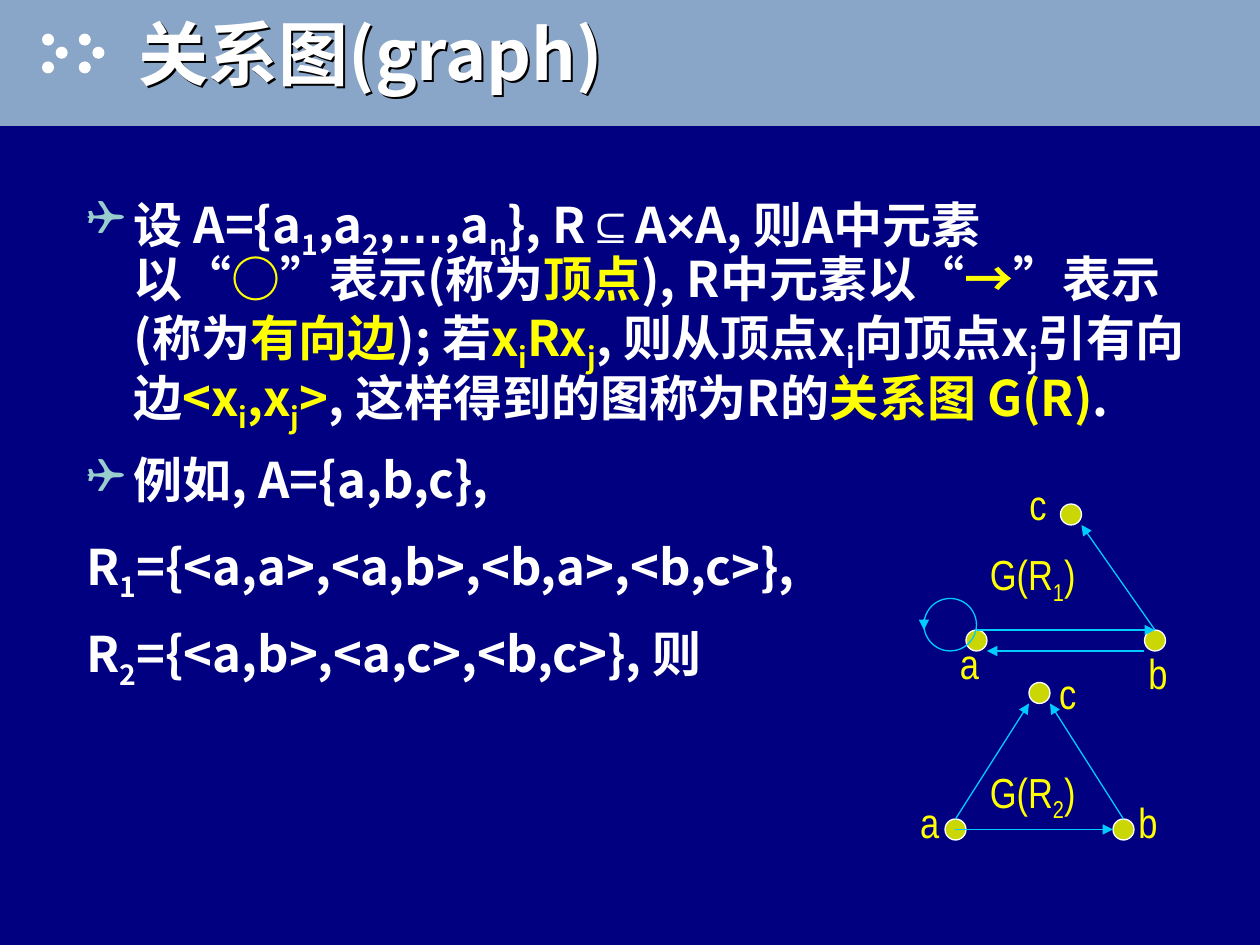
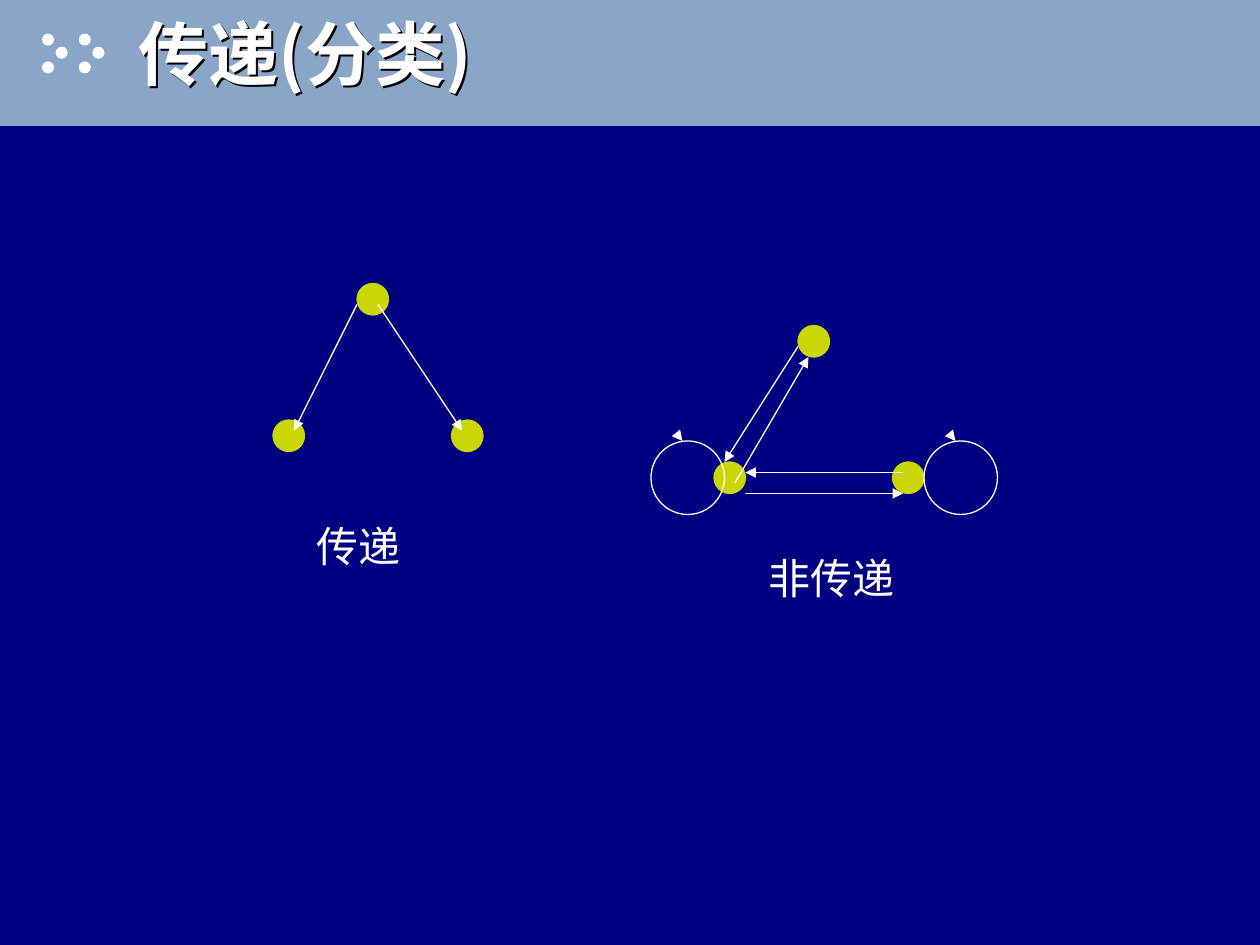
"""Build two slides on relation graphs and transitivity."""
import itertools

import lxml.etree
import pptx
import pptx.dml.color
import pptx.enum.shapes
import pptx.enum.text
import pptx.oxml.ns
import pptx.util

NAVY, STEEL, WHITE, BLACK = "000080", "89A5C7", "FFFFFF", "000000"
GOLD, LIME, CYAN, TEAL = "FFFF00", "CAD704", "00CCFF", "99CCCC"
SANS, SLIM, PLAIN, MARK = "Noto Sans CJK SC", "Arial Narrow", "Arial", "Wingdings"
SIGNS = "…⊆×“”→"
OVAL = pptx.enum.shapes.MSO_SHAPE.OVAL
RECT = pptx.enum.shapes.MSO_SHAPE.RECTANGLE


def grid(count):
    """Return a length of so many twelfths of an inch."""
    return pptx.util.Cm(count * 2.54 / 12)


def paint(color, code):
    """Set a colour format to a hex string."""
    color.rgb = pptx.dml.color.RGBColor.from_string(code)


def child(parent, tag, **attrs):
    """Append a drawing element with attributes."""
    return lxml.etree.SubElement(parent, pptx.oxml.ns.qn(tag), attrs)


def split(text):
    """Yield (text, gold, low, sign) parts; [x] is gold and _x is low."""
    marks, gold, low = [], False, False
    for char in text:
        if char in "[]":
            gold = char == "["
        elif char == "_":
            low = True
        else:
            marks.append((char, gold, low, char in SIGNS))
            low = False
    for key, group in itertools.groupby(marks, lambda mark: mark[1:]):
        yield ("".join(mark[0] for mark in group), *key)


def write(para, text, size=24, face=SLIM, color=WHITE, bold=False,
          before=15, space=None, hang=False, bullet=None):
    """Fill a paragraph with marked text in the given format."""
    para.space_before = pptx.util.Pt(before)
    if space:
        para.line_spacing = space
    props = para._p.get_or_add_pPr()
    if hang:
        inset = grid(4.5)
        props.set("marL", str(inset))
        props.set("indent", str(-inset))
    if bullet:
        child(child(props, "a:buClr"), "a:srgbClr", val=TEAL)
        child(props, "a:buFont", typeface=MARK, charset="2")
        child(props, "a:buChar", char=bullet)
    for part, gold, low, sign in split(text):
        run = para.add_run()
        run.text = part
        font = run.font
        font.size, font.bold = pptx.util.Pt(size), bold
        font.name = PLAIN if sign else face
        font.fill.solid()
        paint(font.fill.fore_color, GOLD if gold else color)
        rpr = run._r.get_or_add_rPr()
        child(rpr, "a:ea", typeface=SANS)
        if low:
            rpr.set("baseline", "-25000")


class Deck:
    """Hold the shared style and the current slide."""

    def __init__(self):
        """Start a deck with a navy master."""
        self.show = pptx.Presentation()
        self.show.slide_width, self.show.slide_height = grid(120), grid(90)
        back = self.show.slide_master.background.fill
        back.solid()
        paint(back.fore_color, NAVY)

    def page(self, title):
        """Add a slide with its band, dots and title."""
        self.slide = self.show.slides.add_slide(self.show.slide_layouts[6])
        self.form(RECT, 0, 0, 120, 12, fill=STEEL)
        for left in (4, 7.5):
            for step, top in ((0, 3.2), (1.3, 4.45), (0, 5.85)):
                self.form(OVAL, left + step, top, 1.15, 1.15, fill=WHITE)
        box = self.text([title], 12.05, 0, 108, 10, middle=True, size=40,
                        face=SANS, bold=True, before=0)
        shade = child(child(box._element.spPr, "a:effectLst"), "a:outerShdw",
                      dist=str(pptx.util.Cm(0.06)), dir="2700000",
                      algn="ctr", rotWithShape="0")
        child(shade, "a:srgbClr", val=BLACK)

    def form(self, kind, left, top, width, height, fill=None, line=None):
        """Add a preset shape."""
        shape = self.slide.shapes.add_shape(kind, *map(grid, (left, top, width, height)))
        shape.shadow.inherit = False
        if fill:
            shape.fill.solid()
            paint(shape.fill.fore_color, fill)
        else:
            shape.fill.background()
        if line:
            shape.line.width = pptx.util.Pt(0.75)
            paint(shape.line.color, line)
        else:
            shape.line.fill.background()

    def nodes(self, spots, size, line):
        """Add graph nodes at the given spots."""
        for left, top in spots:
            self.form(OVAL, left, top, size, size, fill=LIME, line=line)

    def edges(self, ends, color):
        """Add arrows, each given as start and end points."""
        for points in ends:
            kind = pptx.enum.shapes.MSO_CONNECTOR.STRAIGHT
            edge = self.slide.shapes.add_connector(kind, *map(grid, points))
            edge.line.width = pptx.util.Pt(0.75)
            paint(edge.line.color, color)
            child(edge.line._get_or_add_ln(), "a:tailEnd", type="triangle")
            child(edge._element.spPr, "a:effectLst")

    def text(self, lines, left, top, width, height, middle=False, bullets=0, **style):
        """Add a text box, with bullets on its first lines."""
        box = self.slide.shapes.add_textbox(*map(grid, (left, top, width, height)))
        frame = box.text_frame
        frame.word_wrap = True
        if middle:
            frame.vertical_anchor = pptx.enum.text.MSO_ANCHOR.MIDDLE
        for index, line in enumerate(lines):
            para = frame.add_paragraph() if index else frame.paragraphs[0]
            write(para, line, bullet="❑" if index < bullets else None, **style)
        return box

    def label(self, text, left, top, width=5, color=GOLD):
        """Add a short caption."""
        self.text([text], left, top, width, 6, color=color)


def graph(deck):
    """Build the slide that defines the relation graph."""
    deck.page("关系图(graph)")
    deck.text([
        "设 A={a_1,a_2,…,a_n}, R⊆A×A, 则A中元素以“[○]”表示(称为[顶点]), "
        "R中元素以“[→]”表示(称为[有向边]); 若[x_iRx_j], 则从顶点x_i向顶点x_j"
        "引有向边[<x_i,x_j>], 这样得到的图称为R的[关系图 G(R)].",
        "例如, A={a,b,c},",
        "R_1={<a,a>,<a,b>,<b,a>,<b,c>},",
        "R_2={<a,b>,<a,c>,<b,c>}, 则",
    ], 7.05, 18, 109, 61, bullets=2, size=28, face=SANS, bold=True,
        before=15.8, space=0.9, hang=True)
    deck.nodes([(101, 48), (92, 60), (109, 60), (98, 65), (90, 78), (106, 78)], 2, WHITE)
    deck.form(OVAL, 88, 57, 5, 5, line=CYAN)
    deck.edges([(93, 60, 110, 60), (109, 62, 94, 62), (110, 60, 103, 50),
                (88, 59, 88, 60), (91, 79, 106, 79), (107, 78, 100, 67),
                (91, 78, 98, 67)], CYAN)
    for name, left, top in (("a", 90.25, 60.1), ("b", 108.2, 61.1), ("c", 96.85, 45),
                            ("a", 86.45, 75.25), ("b", 107.25, 75.25), ("c", 99.7, 63)):
        deck.label(name, left, top)
    for name, top in (("G(R_1)", 51.65), ("G(R_2)", 72.4)):
        deck.label(name, 93.1, top, 13)


def chain(deck):
    """Build the slide that sorts graphs by transitivity."""
    deck.page("传递(分类)")
    deck.nodes([(76, 31), (68, 44), (85, 44), (34, 27), (26, 40), (43, 40)], 3, LIME)
    for left in (62, 88):
        deck.form(OVAL, left, 42, 7, 7, line=WHITE)
        deck.edges([(left + 2.98, 41.98, left + 3, 42)], WHITE)
    deck.edges([(70, 46, 77, 34), (71, 47, 86, 47), (36, 29, 44, 41),
                (34, 29, 28, 41), (76, 33, 69, 44), (86, 45, 71, 45)], WHITE)
    deck.label("非传递", 72, 52, 15, WHITE)
    deck.label("传递", 29, 49, 17, WHITE)


def main():
    """Build both slides and save them."""
    deck = Deck()
    graph(deck)
    chain(deck)
    deck.show.save("out.pptx")


if __name__ == "__main__":
    main()
